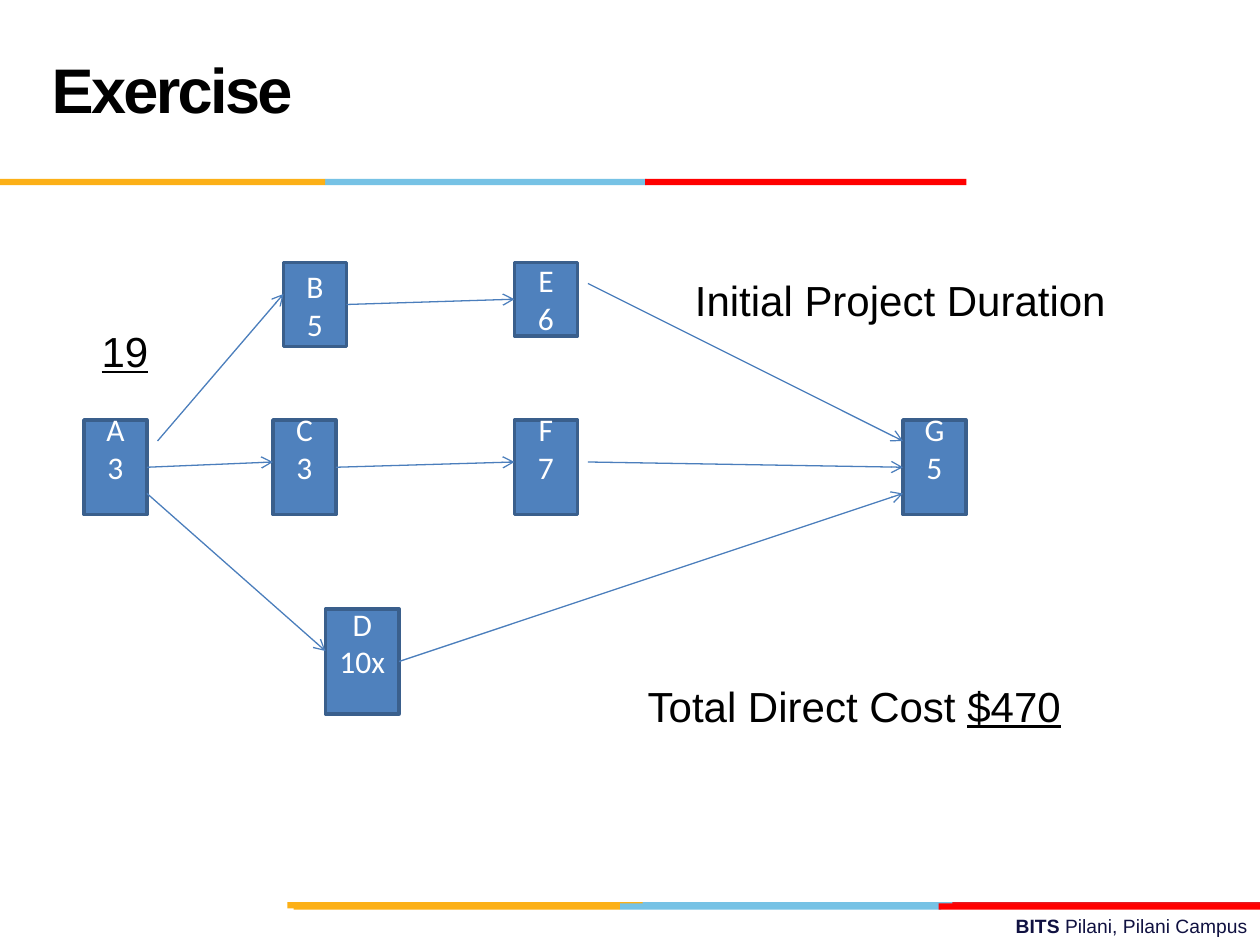
from lxml import etree
from pptx import Presentation
from pptx import util as u
from pptx.dml.color import RGBColor
from pptx.enum import shapes, text
from pptx.oxml.ns import qn

Pt = u.Pt
COLORS = {
    "black": "000000", "white": "FFFFFF", "navy": "101141",
    "amber": "FCB017", "sky": "76C2E5", "red": "FF0000", "crimson": "E31C24",
    "node": "4F81BD", "node_edge": "3A5F8C", "arrow": "4B7EBC",
}
LEFT, RIGHT = 1, 3  # connection sites of a rectangle

# Horizontal pieces of each stripe: left, width, colour
STRIPES = [
    (515.5, [(364.3, 183.6, "sky"), (544.3, 175.7, "crimson"), (164.2, 203, "amber")]),
    (516.2, [(354.2, 183.6, "sky"), (167.8, 186.4, "amber"), (536.4, 183.6, "red")]),
    (102.2, [(185.8, 183.6, "sky"), (0, 185.8, "amber"), (368.6, 183.6, "red")]),
]
# Activity: duration, left, top, width, height, room kept below the text
ACTIVITIES = {
    "A": ("3", 48, 240, 36, 54, 22),
    "B": ("5", 162, 150, 36, 48, 3.6),
    "E": ("6", 294, 150, 36, 42, 3.6),
    "G": ("5", 516, 240, 36, 54, 22),
    "C": ("3", 156, 240, 36, 54, 22),
    "F": ("7", 294, 240, 36, 54, 22),
    "D": ("10x", 186, 348, 42, 60, 22),
}
# Each end is an activity name (joined at its side) or a free point
DEPENDENCIES = [
    ((90, 252), (162, 168)),
    ("B", "E"),
    ((336, 162), (516, 252)),
    ("A", (156, 264)),
    ("C", (294, 264)),
    ((336, 264), "G"),
    ((84, 282), (186, 372)),
    ("D", (516, 282)),
]


def rgb(name):
    return RGBColor.from_string(COLORS[name])


def set_font(font, name, size, color, bold=None):
    font.name, font.size, font.bold = name, Pt(size), bold
    font.color.rgb = rgb(color)


def add_rect(slide, left, top, width, height, fill, edge=None):
    rect = slide.shapes.add_shape(shapes.MSO_SHAPE.RECTANGLE,
                                  Pt(left), Pt(top), Pt(width), Pt(height))
    rect.shadow.inherit = False
    rect.fill.solid()
    rect.fill.fore_color.rgb = rgb(fill)
    if edge:
        rect.line.color.rgb = rgb(edge)
        rect.line.width = Pt(2)
    else:
        rect.line.fill.background()
    return rect


def add_text_frame(slide, left, top, width, height):
    frame = slide.shapes.add_textbox(Pt(left), Pt(top), Pt(width), Pt(height)).text_frame
    frame.word_wrap = True
    return frame


def add_activity(slide, name, duration, left, top, width, height, room_below):
    box = add_rect(slide, left, top, width, height, "node", "node_edge")
    frame = box.text_frame
    frame.vertical_anchor = text.MSO_ANCHOR.MIDDLE
    frame.margin_left = frame.margin_right = 0
    frame.margin_top = Pt(0 if room_below > 3.6 else 3.6)
    frame.margin_bottom = Pt(room_below)
    frame.text = f"{name}\n{duration}"
    for line in frame.paragraphs:
        line.alignment = text.PP_ALIGN.CENTER
        set_font(line.font, "Calibri", 18, "white")
    return box


def add_dependency(slide, boxes, start, end):
    """Draw an arrow between two ends, joining those that name an activity."""
    begin = (0, 0) if start in boxes else start
    finish = (0, 0) if end in boxes else end
    arrow = slide.shapes.add_connector(shapes.MSO_CONNECTOR.STRAIGHT,
                                       *(Pt(v) for v in (*begin, *finish)))
    if start in boxes:
        arrow.begin_connect(boxes[start], RIGHT)
    if end in boxes:
        arrow.end_connect(boxes[end], LEFT)
    arrow.line.color.rgb = rgb("arrow")
    arrow.line.width = Pt(0.75)
    etree.SubElement(arrow.line._get_or_add_ln(), qn("a:tailEnd"), type="arrow")
    etree.SubElement(arrow._element.spPr, qn("a:effectLst"))


def add_title(slide):
    frame = add_text_frame(slide, 22.5, 9, 498, 90)
    frame.vertical_anchor = text.MSO_ANCHOR.MIDDLE
    title = frame.paragraphs[0]
    title.line_spacing = Pt(36)
    run = title.add_run()
    run.text = "Exercise"
    run.font._element.set("spc", "-150")
    set_font(title.font, "Arial", 36, "black", True)


def add_results(slide):
    """Two statements with indented first lines and underlined values."""
    frame = add_text_frame(slide, 24, 117.5, 648, 356)
    frame.margin_top, frame.margin_right = Pt(39.5), Pt(24)
    results = [("Initial Project Duration ", "19", 339, 0),
               ("Total Direct Cost ", "$470", 312, 174)]
    for i, (label, value, indent, space) in enumerate(results):
        line = frame.add_paragraph() if i else frame.paragraphs[0]
        properties = line._p.get_or_add_pPr()
        properties.set("marL", str(Pt(27)))
        properties.set("indent", str(Pt(indent)))
        line.space_before = Pt(space)
        line.add_run().text = label
        answer = line.add_run()
        answer.text = value
        answer.font.underline = True
        set_font(line.font, "Arial", 24, "black")


def add_campus(slide):
    campus = add_text_frame(slide, 257.8, 519, 462.2, 21).paragraphs[0]
    campus.alignment = text.PP_ALIGN.RIGHT
    for words, bold in (("BITS ", True), ("Pilani, Pilani Campus", False)):
        run = campus.add_run()
        run.text = words
        run.font.bold = bold
    set_font(campus.font, "Arial", 11, "navy")


def main():
    deck = Presentation()
    deck.slide_width, deck.slide_height = Pt(720), Pt(540)
    slide = deck.slides.add_slide(deck.slide_layouts[6])
    add_campus(slide)
    for top, pieces in STRIPES:
        for left, width, color in pieces:
            add_rect(slide, left, top, width, 3.6, color)
    add_results(slide)
    add_title(slide)
    boxes = {name: add_activity(slide, name, *details)
             for name, details in ACTIVITIES.items()}
    for start, end in DEPENDENCIES:
        add_dependency(slide, boxes, start, end)
    deck.save("out.pptx")


if __name__ == "__main__":
    main()
